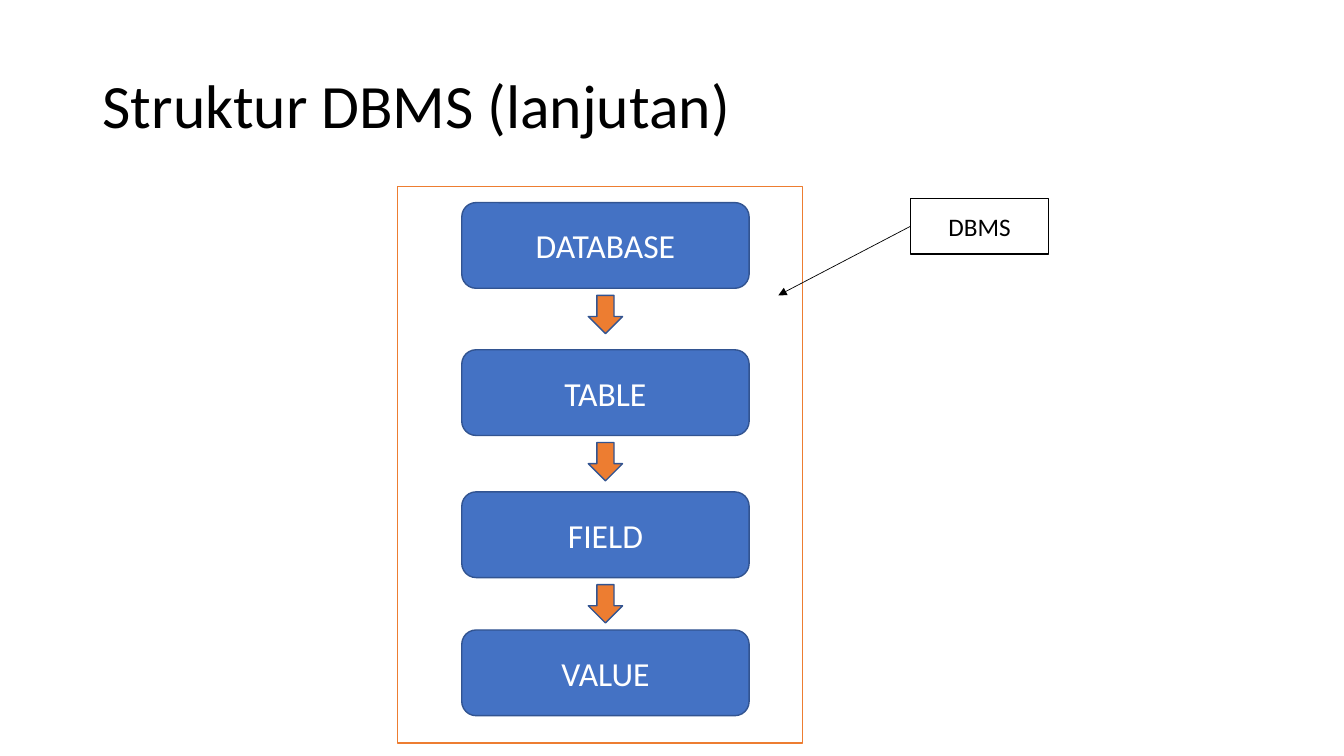
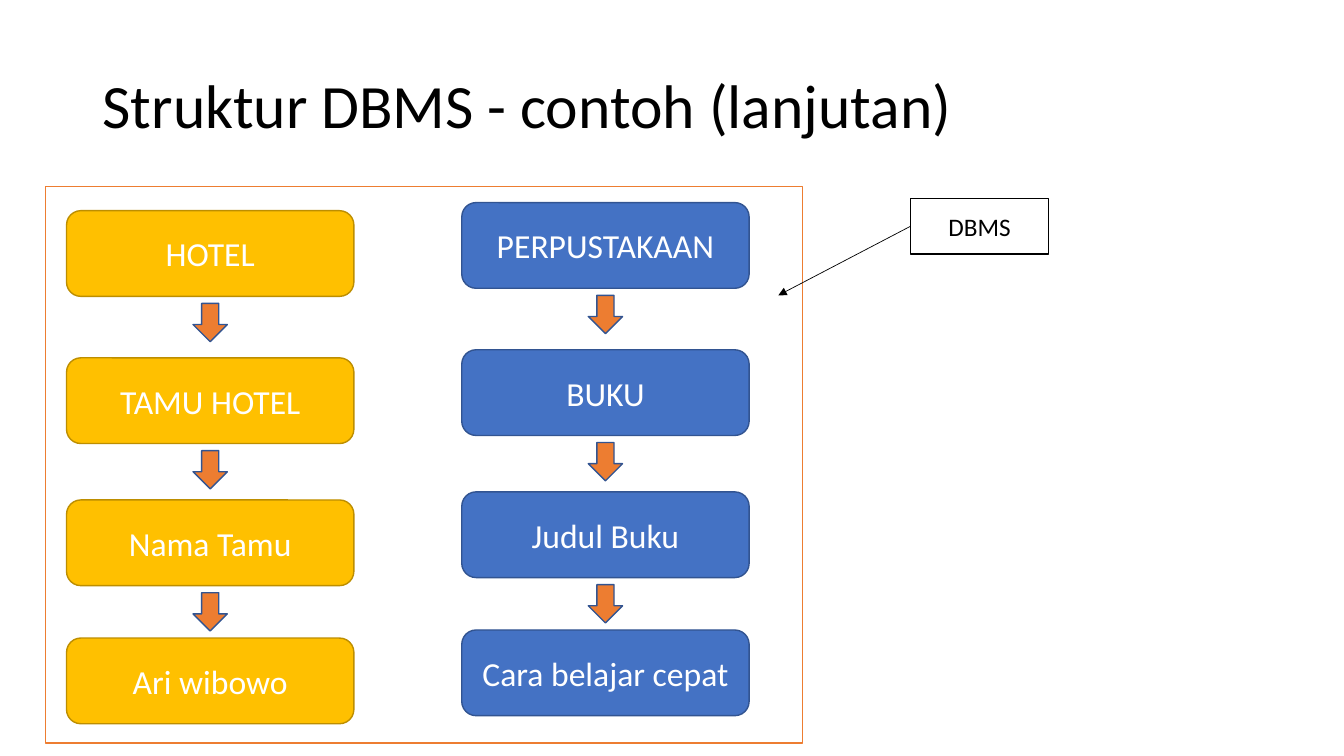
from dataclasses import dataclass

from lxml.etree import SubElement
from pptx import Presentation
from pptx.dml.color import RGBColor
from pptx.enum.shapes import MSO_CONNECTOR, MSO_SHAPE
from pptx.enum.text import MSO_ANCHOR, PP_ALIGN
from pptx.oxml.ns import qn
from pptx.shapes.autoshape import Shape
from pptx.slide import Slide
from pptx.util import Inches, Pt

FONT = "Calibri"
WHITE, BLACK = "FFFFFF", "000000"
BLUE, NAVY = "4472C4", "325491"
GOLD, BROWN = "FFC000", "BD8E00"
ORANGE = "ED7D31"

BOX_W, BOX_H = 2.85, 0.85
ARROW_W, ARROW_H = 0.34, 0.38
ARROW_GAP = 0.07
STEPS = (0, 1.46, 2.87, 4.24)
FRAME_TOP, FRAME_RIGHT, FRAME_H = 1.85, 7.96, 5.52


@dataclass
class Chain:
    left: float
    top: float
    fill: str
    edge: str
    labels: tuple[str, ...]


@dataclass
class Page:
    title: str
    frame_left: float
    chains: tuple[Chain, ...]


PAGES = (
    Page("Struktur DBMS (lanjutan)", 3.94, (
        Chain(4.58, 2.01, BLUE, NAVY, ("DATABASE", "TABLE", "FIELD", "VALUE")),
    )),
    Page("Struktur DBMS - contoh (lanjutan)", 0.45, (
        Chain(4.58, 2.01, BLUE, NAVY,
              ("PERPUSTAKAAN", "BUKU", "Judul Buku", "Cara belajar cepat")),
        Chain(0.66, 2.09, GOLD, BROWN,
              ("HOTEL", "TAMU HOTEL", "Nama Tamu", "Ari wibowo")),
    )),
)


def color(code: str) -> RGBColor:
    return RGBColor.from_string(code)


def set_text(shape: Shape, text: str, size: int, ink: str,
             align: PP_ALIGN = PP_ALIGN.CENTER) -> None:
    frame = shape.text_frame
    frame.word_wrap = True
    frame.vertical_anchor = MSO_ANCHOR.MIDDLE
    frame.text = text
    par = frame.paragraphs[0]
    par.alignment = align
    font = par.runs[0].font
    font.name, font.size = FONT, Pt(size)
    font.color.rgb = color(ink)


def add_block(slide: Slide, kind: MSO_SHAPE, left: float, top: float,
              width: float, height: float, fill: str, edge: str) -> Shape:
    shape = slide.shapes.add_shape(
        kind, Inches(left), Inches(top), Inches(width), Inches(height))
    shape.shadow.inherit = False
    shape.fill.solid()
    shape.fill.fore_color.rgb = color(fill)
    shape.line.color.rgb = color(edge)
    shape.line.width = Pt(1)
    return shape


def add_title(slide: Slide, text: str) -> None:
    box = slide.shapes.add_textbox(
        Inches(0.92), Inches(0.4), Inches(11.5), Inches(1.35))
    set_text(box, text, 44, BLACK, PP_ALIGN.LEFT)
    box.text_frame.paragraphs[0].line_spacing = 0.9


def add_chain(slide: Slide, chain: Chain) -> None:
    """Draw a column of boxes with a down arrow after each but the last."""
    for step, label in zip(STEPS, chain.labels):
        box = add_block(slide, MSO_SHAPE.ROUNDED_RECTANGLE, chain.left,
                        chain.top + step, BOX_W, BOX_H, chain.fill, chain.edge)
        set_text(box, label, 24, WHITE)
    for step in STEPS[:-1]:
        add_block(slide, MSO_SHAPE.DOWN_ARROW,
                  chain.left + (BOX_W - ARROW_W) / 2,
                  chain.top + step + BOX_H + ARROW_GAP,
                  ARROW_W, ARROW_H, ORANGE, NAVY)


def add_callout(slide: Slide) -> None:
    """Draw the DBMS label and its arrow into the frame."""
    label = add_block(slide, MSO_SHAPE.RECTANGLE,
                      9.03, 1.97, 1.37, 0.55, WHITE, BLACK)
    set_text(label, "DBMS", 18, BLACK)
    arrow = slide.shapes.add_connector(
        MSO_CONNECTOR.STRAIGHT,
        Inches(9.03), Inches(2.25), Inches(7.72), Inches(2.93))
    arrow.begin_connect(label, 1)
    arrow.line.color.rgb = color(BLACK)
    arrow.line.width = Pt(0.5)
    SubElement(arrow.line._get_or_add_ln(), qn("a:tailEnd"), type="triangle")
    SubElement(arrow._element.spPr, qn("a:effectLst"))


def main() -> None:
    deck = Presentation()
    deck.slide_width, deck.slide_height = Inches(13.33), Inches(7.5)
    for page in PAGES:
        slide = deck.slides.add_slide(deck.slide_layouts[6])
        add_block(slide, MSO_SHAPE.RECTANGLE, page.frame_left, FRAME_TOP,
                  FRAME_RIGHT - page.frame_left, FRAME_H, WHITE, ORANGE)
        add_title(slide, page.title)
        for chain in page.chains:
            add_chain(slide, chain)
        add_callout(slide)
    deck.save("out.pptx")


if __name__ == "__main__":
    main()
